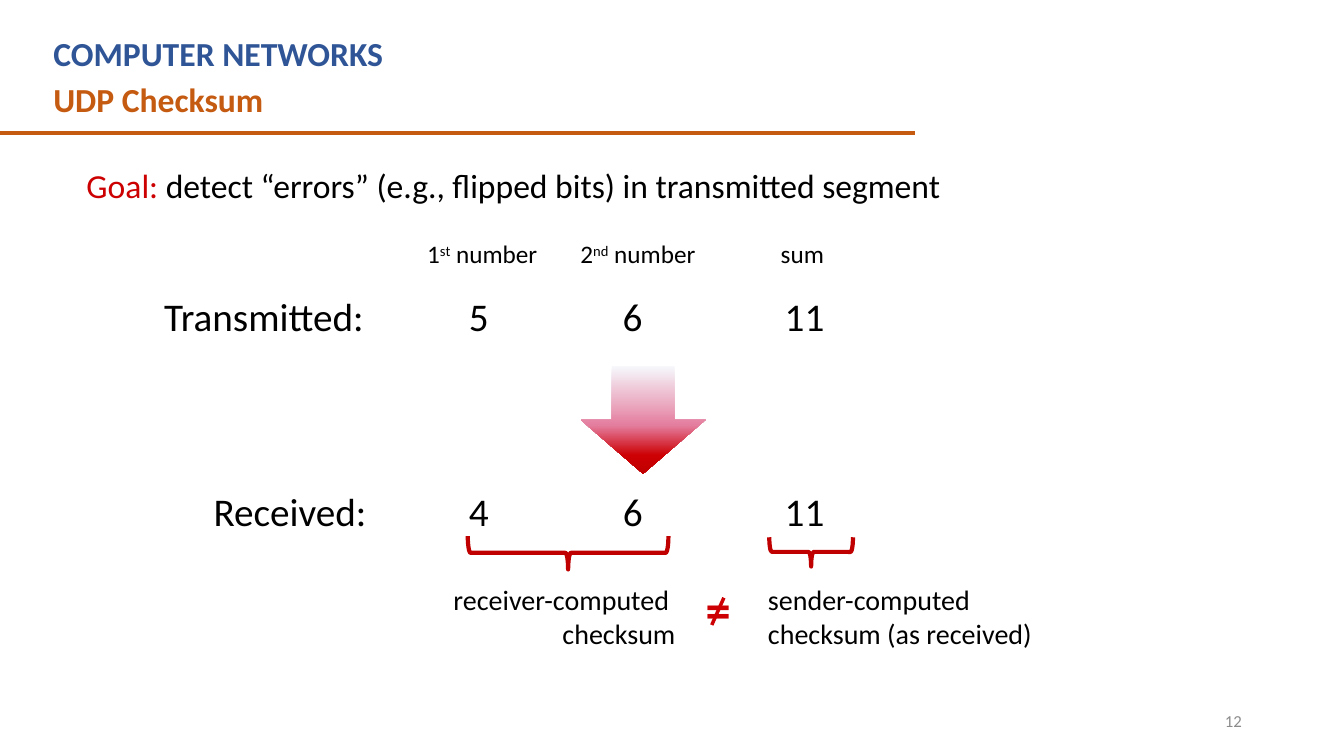
from lxml.etree import SubElement
from pptx import Presentation
from pptx.dml.color import RGBColor
from pptx.enum.shapes import MSO_CONNECTOR, MSO_SHAPE
from pptx.enum.text import MSO_ANCHOR, PP_ALIGN
from pptx.oxml.ns import qn
from pptx.util import Inches, Pt

COLORS = {
    "heading": "2F5597", "accent": "C55A11", "goal": "CC0000", "body": "000000",
    "brace": "C00000", "unequal": "CD0004", "page": "8C8C8C",
}
ARROW_STOPS = [(0, "F6F8FC"), (55, "E47E9F"), (83, "CD0004"), (100, "C00000")]

deck = Presentation()
deck.slide_width, deck.slide_height = Inches(13.33), Inches(7.5)
slide = deck.slides.add_slide(deck.slide_layouts[6])
COL, ROW = deck.slide_width / 100, deck.slide_height / 100
INSET = Inches(0.1)


def add_text(lines, x, y, w, h, size, color="body", bold=False, align=PP_ALIGN.LEFT,
             anchor=MSO_ANCHOR.TOP, wrap=True, spacing=None, hanging=0, tabs=()):
    box = slide.shapes.add_textbox(int(x * COL), int(y * ROW), int(w * COL), int(h * ROW))
    frame = box.text_frame
    frame.word_wrap, frame.vertical_anchor = wrap, anchor
    for number, runs in enumerate(lines):
        paragraph = frame.add_paragraph() if number else frame.paragraphs[0]
        properties = paragraph._p.get_or_add_pPr()
        if hanging:
            properties.set("marL", str(Inches(hanging)))
            properties.set("indent", str(-Inches(hanging)))
        if tabs:
            tab_list = SubElement(properties, qn("a:tabLst"))
            for stop in tabs:
                SubElement(tab_list, qn("a:tab"), pos=str(int((stop - x) * COL - INSET)), algn="l")
        paragraph.alignment, paragraph.line_spacing = align, spacing
        for words, style in runs:
            run = paragraph.add_run()
            run.text = words
            run.font.name, run.font.size, run.font.bold = "Calibri", Pt(size), bold
            run.font.color.rgb = RGBColor.from_string(COLORS[style.get("color", color)])
            if style.get("raised"):
                run.font._element.set("baseline", "30000")


def add_line(x1, y1, x2, y2, color, width):
    line = slide.shapes.add_connector(MSO_CONNECTOR.STRAIGHT, int(x1 * COL), int(y1 * ROW),
                                      int(x2 * COL), int(y2 * ROW))
    line.line.color.rgb = RGBColor.from_string(COLORS[color])
    line.line.width = Pt(width)
    SubElement(line._element.spPr, qn("a:effectLst"))


for title, top, color in [("COMPUTER NETWORKS", 3.73, "heading"), ("UDP Checksum", 9.73, "accent")]:
    add_text([[(title, {})]], 3.23, top, 65, 6.67, 24, color=color, bold=True)
add_line(0, 17.6, 68.05, 17.6, "accent", 3)

goal = [("Goal: ", {"color": "goal"}),
        ("detect “errors” (e.g., flipped bits) in transmitted segment", {})]
add_text([goal], 5.7, 22, 68.9, 7.87, 24, spacing=0.85, hanging=0.25)

headers = [
    ([("1", {}), ("st", {"raised": True}), (" number", {})], 31.05, 9.9),
    ([("2", {}), ("nd", {"raised": True}), (" number", {})], 42.45, 10.35),
    ([(" sum", {})], 56.93, 5.18),
]
for header, left, width in headers:
    add_text([header], left, 30.93, width, 5.33, 18, wrap=False)

number_columns = (34.9, 46.35, 58.4)
for message, left, top in [("Transmitted:\t5\t6\t11", 11.48, 38.67),
                           ("Received:\t4\t6\t11", 15.15, 64.53)]:
    add_text([[(message, {})]], left, top, 83, 8.4, 28, spacing=0.9, tabs=number_columns)

arrow = slide.shapes.add_shape(MSO_SHAPE.DOWN_ARROW, int(43.2 * COL), int(48.4 * ROW),
                               int(9.3 * COL), int(14.27 * ROW))
arrow.shadow.inherit = False
arrow.line.fill.background()
arrow.fill.gradient()
arrow.fill.gradient_angle = 270
stops = arrow._element.spPr.find(qn("a:gradFill")).find(qn("a:gsLst"))
for stop in list(stops):
    stops.remove(stop)
for position, shade in ARROW_STOPS:
    stop = SubElement(stops, qn("a:gs"), pos=str(position * 1000))
    SubElement(stop, qn("a:srgbClr"), val=shade)

for center, middle, span, depth in [(42.27, 73.13, 14.93, 4.4), (60.35, 73, 6.23, 3.87)]:
    thickness, length = depth * ROW, span * COL
    brace = slide.shapes.add_shape(MSO_SHAPE.RIGHT_BRACE, int(center * COL - thickness / 2),
                                   int(middle * ROW - length / 2), int(thickness), int(length))
    brace.rotation = 90
    brace.shadow.inherit = False
    brace.fill.background()
    brace.line.color.rgb = RGBColor.from_string(COLORS["brace"])
    brace.line.width = Pt(3)

add_text([[("receiver-computed ", {})], [("checksum", {})]], 32.78, 76.4, 18.22, 10.27, 20,
         align=PP_ALIGN.RIGHT, wrap=False)
add_text([[("sender-computed", {})], [("checksum (as received)", {})]], 56.4, 76.4, 21.37, 10.27,
         20, wrap=False)
add_text([[("=", {})]], 51.76, 75.87, 3.38, 9.47, 36, color="unequal", bold=True, wrap=False)
add_line(53.86, 79.07, 52.96, 82.67, "unequal", 2.5)

add_text([[("12", {})]], 70.65, 92.67, 22.5, 5.33, 12, color="page", align=PP_ALIGN.RIGHT,
         anchor=MSO_ANCHOR.MIDDLE)

deck.save("out.pptx")
